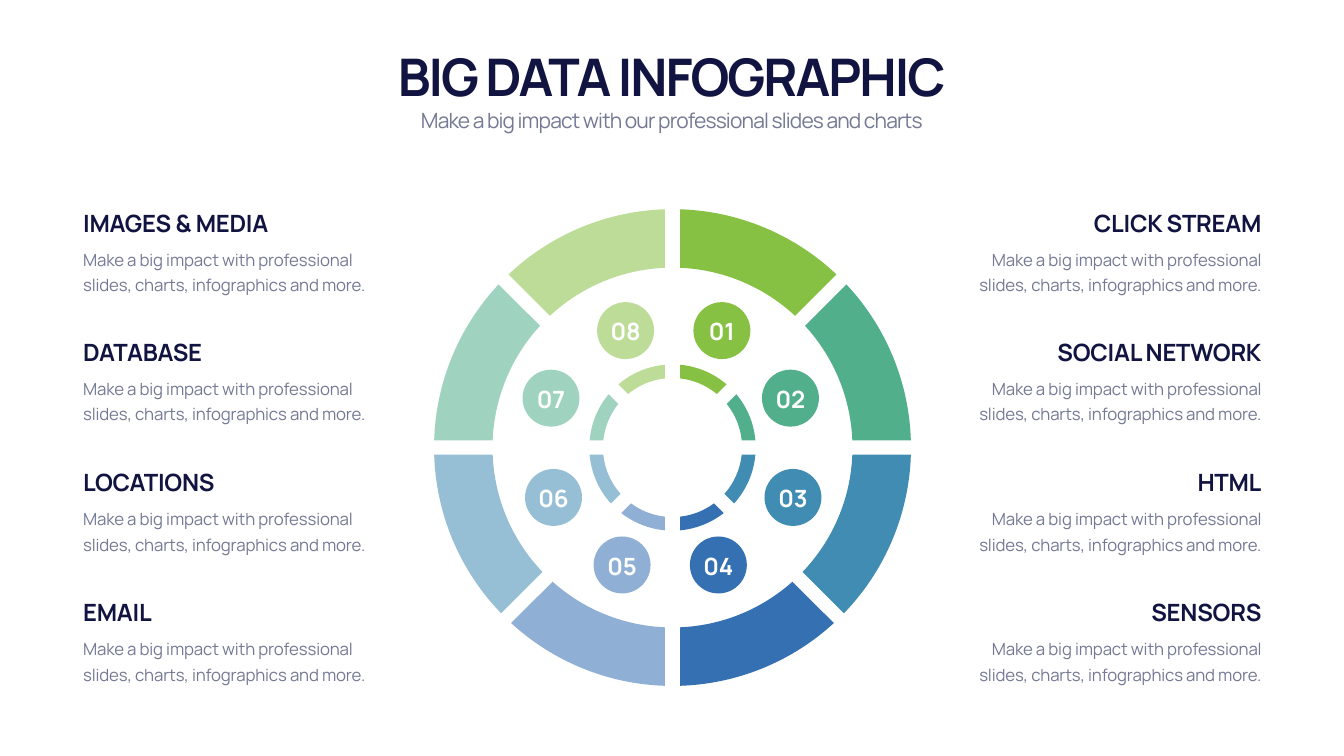
import math

from lxml import etree
from pptx import Presentation
from pptx import util as u
from pptx.dml.color import RGBColor
from pptx.enum import shapes, text
from pptx.oxml import ns

PX = 9144
NAVY = RGBColor(0x11, 0x13, 0x40)
GRAY = RGBColor(0x74, 0x79, 0x94)
WHITE = RGBColor(0xFF, 0xFF, 0xFF)
LIME = RGBColor(0x87, 0xC1, 0x43)
GREEN = RGBColor(0x51, 0xAF, 0x8B)
TEAL = RGBColor(0x40, 0x8C, 0xB3)
BLUE = RGBColor(0x34, 0x70, 0xB2)

CENTER_X, CENTER_Y = 1334, 888
RINGS = [(473, 357), (165, 138)]
BADGE = 113
BODY = "Make a big impact with professional slides, charts, infographics and more."

LEFT, CENTER, RIGHT = text.PP_ALIGN.LEFT, text.PP_ALIGN.CENTER, text.PP_ALIGN.RIGHT
TOP, MIDDLE, BOTTOM = text.MSO_ANCHOR.TOP, text.MSO_ANCHOR.MIDDLE, text.MSO_ANCHOR.BOTTOM

presentation = Presentation()
presentation.slide_width = 2666 * PX
presentation.slide_height = 1500 * PX
slide = presentation.slides.add_slide(presentation.slide_layouts[6])


def write_text(content, box, size=34, color=NAVY, bold=False,
               tracking=-0.3, align=LEFT, anchor=TOP, line=None):
    shape = slide.shapes.add_textbox(*(value * PX for value in box))
    frame = shape.text_frame
    frame.word_wrap = True
    frame.auto_size = text.MSO_AUTO_SIZE.SHAPE_TO_FIT_TEXT
    frame.vertical_anchor = anchor
    paragraph = frame.paragraphs[0]
    paragraph.alignment = align
    if line:
        paragraph.line_spacing = u.Pt(line)
    run = paragraph.add_run()
    run.text = content
    run.font.name = "Manrope"
    run.font.size = u.Pt(size)
    run.font.bold = bold
    run.font.color.rgb = color
    run._r.get_or_add_rPr().set("spc", str(round(tracking * 100)))


def paint(shape, color, faded):
    shape.shadow.inherit = False
    shape.line.fill.background()
    shape.fill.solid()
    shape.fill.fore_color.rgb = color
    if faded:
        solid = shape._element.spPr.find(ns.qn("a:solidFill"))
        etree.SubElement(solid[0], ns.qn("a:alpha"), val="55000")


sectors = [
    (LIME, 15, 13, (1432, 656), (1241, 656)),
    (GREEN, 15, 14, (1568, 790), (1093, 790)),
    (TEAL, 14, 8, (1573, 987), (1098, 987)),
    (BLUE, 20, 15, (1425, 1121), (1234, 1121)),
]
numbers = []
for index, (color, start_gap, end_gap, right_badge, left_badge) in enumerate(sectors):
    sides = [(1, index + 1, right_badge), (-1, 8 - index, left_badge)]
    for side, number, (badge_x, badge_y) in sides:
        faded = side < 0
        for outer, inner in RINGS:
            curves = []
            for radius, direction in ((outer, 1), (inner, -1)):
                start = math.radians(45 * index) + math.asin(start_gap / radius)
                end = math.radians(45 * (index + 1)) - math.asin(end_gap / radius)
                pull = 4 / 3 * math.tan((end - start) / 4)
                curve = []
                for angle, tangent in ((start, 0), (start, pull), (end, -pull), (end, 0)):
                    across = math.sin(angle) + tangent * math.cos(angle)
                    up = math.cos(angle) - tangent * math.sin(angle)
                    curve.append((round((CENTER_X + side * radius * across) * PX),
                                  round((CENTER_Y - radius * up) * PX)))
                curves.append(curve[::direction])
            corners = [curve[end] for curve in curves for end in (0, -1)]
            builder = slide.shapes.build_freeform(*corners[0])
            builder.add_line_segments(corners[1:], close=True)
            segment = builder.convert_to_shape()
            lines = list(segment._element.iter(ns.qn("a:lnTo")))
            for edge, curve in zip((lines[0], lines[2]), curves):
                bezier = etree.Element(ns.qn("a:cubicBezTo"))
                for x, y in curve[1:]:
                    etree.SubElement(bezier, ns.qn("a:pt"),
                                     x=str(x - segment.left), y=str(y - segment.top))
                edge.getparent().replace(edge, bezier)
            paint(segment, color, faded)

        badge = slide.shapes.add_shape(
            shapes.MSO_SHAPE.OVAL, round((badge_x - BADGE / 2) * PX),
            round((badge_y - BADGE / 2) * PX), BADGE * PX, BADGE * PX)
        paint(badge, color, faded)
        numbers.append((f"{number:02}", badge_x, badge_y))

write_text("BIG DATA INFOGRAPHIC", (166, 77, 2333, 140), size=74, bold=True,
           tracking=-2.9, align=CENTER, anchor=BOTTOM, line=94)
write_text("Make a big impact with our professional slides and charts",
           (166, 201, 2333, 67), size=30, color=GRAY, tracking=-1.2,
           align=CENTER, line=42)

columns = [
    (155, LEFT, ["IMAGES & MEDIA", "DATABASE", "LOCATIONS", "EMAIL"]),
    (1877, RIGHT, ["CLICK STREAM", "SOCIAL NETWORK", "HTML", "SENSORS"]),
]
for left, align, headings in columns:
    for row, heading in enumerate(headings):
        top = 408 + 773 * row // 3
        write_text(heading, (left, top, 635, 67), bold=True, align=align, anchor=BOTTOM)
        write_text(BODY, (left, top + 72, 635, 109), size=24, color=GRAY,
                   tracking=-0.2, align=align, line=36)

for label, x, y in numbers:
    write_text(label, (x - 45, y - 32, 90, 67), color=WHITE, bold=True,
               align=CENTER, anchor=MIDDLE)

presentation.save("out.pptx")
